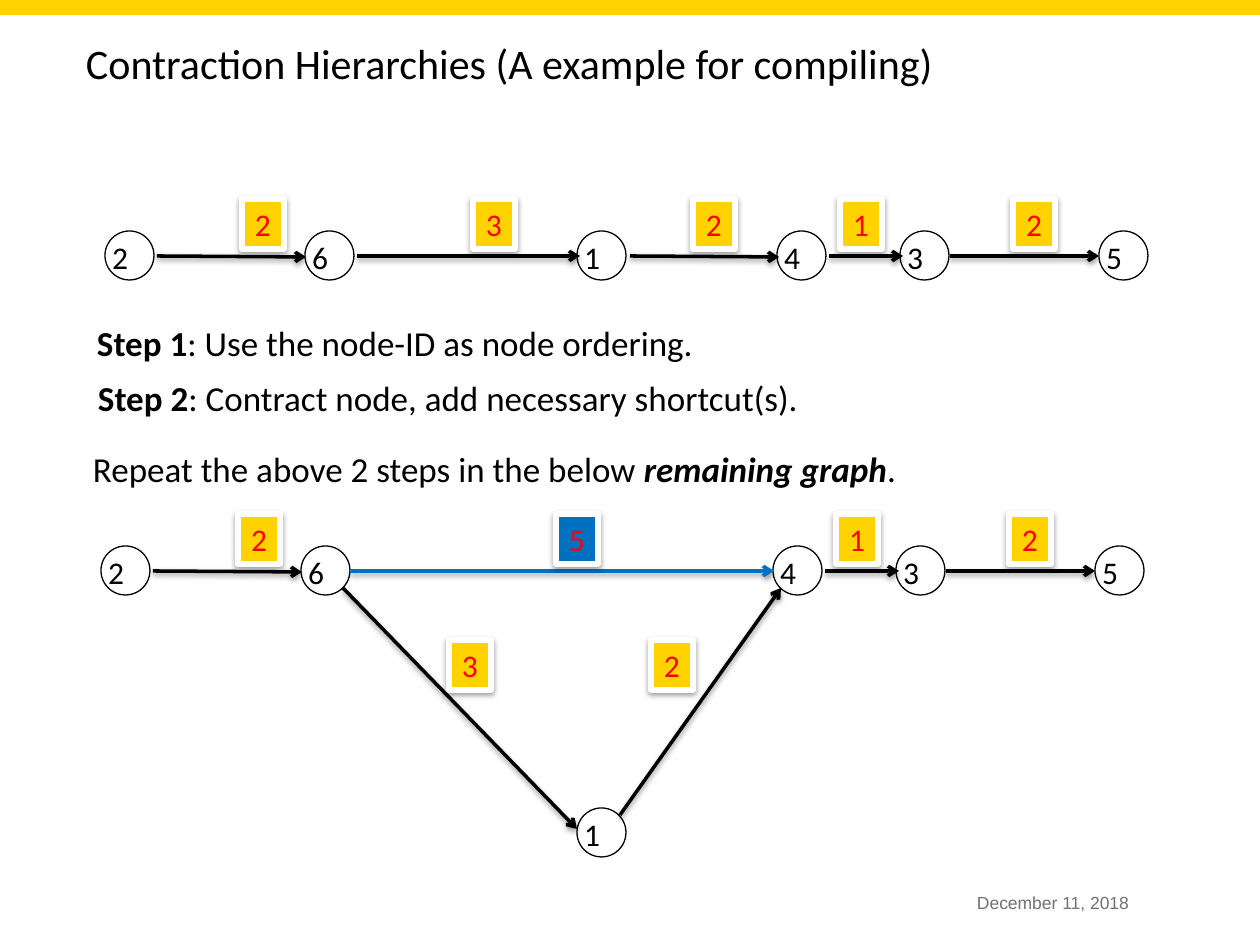
from typing import NamedTuple

from lxml.etree import SubElement
from pptx import Presentation
from pptx.dml.color import RGBColor
from pptx.enum.shapes import MSO_CONNECTOR as Connector, MSO_SHAPE as Preset
from pptx.enum.text import MSO_ANCHOR as Anchor, PP_ALIGN as Align
from pptx.oxml.ns import qn
from pptx.util import Emu, Pt

PX = 914400 / 126
BLACK, WHITE, YELLOW, BLUE = "000000", "FFFFFF", "FFD200", "0070C0"
RED, GREY = "FF0000", "717277"
NODE_SIZE = 49
LABEL_WIDTH, LABEL_HEIGHT = 42, 50


class Node(NamedTuple):
    name: str
    left: int
    top: int = 231


class Edge(NamedTuple):
    x1: int
    y1: int
    x2: int
    y2: int
    color: str = BLACK


class Label(NamedTuple):
    weight: str
    left: int
    top: int = 199
    fill: str = YELLOW


class Run(NamedTuple):
    text: str
    format: dict = {}


class TextLine(NamedTuple):
    left: int
    top: int
    width: int
    height: int
    runs: list[Run]
    size: int = 20
    color: str = BLACK
    font: str = "Calibri"
    margins: tuple[int, int] = (13, 6)


# Parts of the chain that both graphs share
CHAIN_NODES = [Node("2", 105), Node("6", 305), Node("4", 777),
               Node("3", 900), Node("5", 1099)]
CHAIN_EDGES = [Edge(157, 256, 306, 257), Edge(829, 256, 903, 256),
               Edge(950, 256, 1099, 256)]
CHAIN_LABELS = [Label("2", 242), Label("1", 840), Label("2", 1013)]
REMAINING_DX, REMAINING_DY = -4, 315

# Node 1 on the chain, and contracted with a shortcut
FULL_NODES = [Node("1", 577)]
FULL_EDGES = [Edge(357, 256, 580, 256), Edge(630, 256, 779, 257)]
FULL_LABELS = [Label("3", 473), Label("2", 693)]
CONTRACTED_NODES = [Node("1", 577, 808)]
CONTRACTED_EDGES = [Edge(343, 588, 577, 829), Edge(620, 815, 781, 588),
                    Edge(350, 571, 774, 571, BLUE)]
CONTRACTED_LABELS = [Label("3", 449, 640), Label("2", 651, 640),
                     Label("5", 556, 514, BLUE)]

BOLD = {"bold": True}
TEXT_LINES = [
    TextLine(73, 32, 955, 63,
             [Run("Contraction Hierarchies (A example for compiling)")], size=24),
    TextLine(84, 315, 626, 55,
             [Run("Step 1", BOLD), Run(": Use the node-ID as node ordering.")]),
    TextLine(85, 370, 736, 55,
             [Run("Step 2", BOLD), Run(": Contract node, add necessary shortcut(s).")]),
    TextLine(80, 441, 829, 55,
             [Run("Repeat the above 2 steps in the below "),
              Run("remaining graph", {"bold": True, "italic": True}), Run(".")]),
    TextLine(977, 892, 168, 35, [Run("December 11, 2018")],
             size=10, color=GREY, font="Arial", margins=(0, 0)),
]


def px(*values: int) -> list[Emu]:
    return [Emu(round(value * PX)) for value in values]


def rgb(color: str) -> RGBColor:
    return RGBColor.from_string(color)


def set_attributes(target, values: dict) -> None:
    for name, value in values.items():
        setattr(target, name, value)


def add_shadow(shape) -> None:
    properties = shape._element.spPr
    for old in properties.findall(qn("a:effectLst")):
        properties.remove(old)
    effects = SubElement(properties, qn("a:effectLst"))
    shadow = SubElement(effects, qn("a:outerShdw"), blurRad="40000",
                        dist="20000", dir="5400000", rotWithShape="0")
    color = SubElement(shadow, qn("a:srgbClr"), val=BLACK)
    SubElement(color, qn("a:alpha"), val="38000")


def set_text(shape, runs: list[Run], size: int, color: str, font: str = "Calibri",
             margins: tuple[int, int] = (0, 0), align=Align.LEFT, wrap=False) -> None:
    side, end = px(*margins)
    frame = shape.text_frame
    set_attributes(frame, {
        "margin_left": side, "margin_right": side, "margin_top": end,
        "margin_bottom": end, "word_wrap": wrap, "vertical_anchor": Anchor.TOP})
    paragraph = frame.paragraphs[0]
    paragraph.alignment = align
    for part in runs:
        run = paragraph.add_run()
        run.text = part.text
        set_attributes(run.font, {"name": font, "size": Pt(size), **part.format})
        run.font.color.rgb = rgb(color)


def add_shape(slide, preset, box: tuple, fill: str | None, line: str, width: float):
    shape = slide.shapes.add_shape(preset, *px(*box))
    shape.shadow.inherit = False
    if fill:
        shape.fill.solid()
        shape.fill.fore_color.rgb = rgb(fill)
    else:
        shape.fill.background()
    shape.line.color.rgb = rgb(line)
    shape.line.width = Pt(width)
    return shape


def draw_edge(slide, edge: Edge, dx: int, dy: int) -> None:
    ends = px(edge.x1 + dx, edge.y1 + dy, edge.x2 + dx, edge.y2 + dy)
    connector = slide.shapes.add_connector(Connector.STRAIGHT, *ends)
    connector.line.color.rgb = rgb(edge.color)
    connector.line.width = Pt(2)
    SubElement(connector.line._get_or_add_ln(), qn("a:tailEnd"), type="arrow")
    add_shadow(connector)


def draw_label(slide, label: Label, dx: int, dy: int) -> None:
    box = (label.left + dx, label.top + dy, LABEL_WIDTH, LABEL_HEIGHT)
    shape = add_shape(slide, Preset.RECTANGLE, box, label.fill, WHITE, 3)
    add_shadow(shape)
    set_text(shape, [Run(label.weight)], 18, RED, margins=(13, 6))


def draw_node(slide, node: Node, dx: int, dy: int) -> None:
    box = (node.left + dx, node.top + dy, NODE_SIZE, NODE_SIZE)
    shape = add_shape(slide, Preset.OVAL, box, None, BLACK, 0.75)
    set_text(shape, [Run(node.name)], 18, BLACK, wrap=True)


def draw_graph(slide, edges: list[Edge], labels: list[Label], nodes: list[Node],
               dx: int = 0, dy: int = 0) -> None:
    for draw, items in ((draw_edge, edges), (draw_label, labels), (draw_node, nodes)):
        for item in items:
            draw(slide, item, dx, dy)


def draw_text_line(slide, line: TextLine) -> None:
    box = slide.shapes.add_textbox(*px(line.left, line.top, line.width, line.height))
    set_text(box, line.runs, line.size, line.color, line.font, line.margins)


def main() -> None:
    presentation = Presentation()
    presentation.slide_width, presentation.slide_height = px(1260, 945)
    slide = presentation.slides.add_slide(presentation.slide_layouts[6])

    # Top bar
    add_shape(slide, Preset.RECTANGLE, (0, 0, 1260, 14), YELLOW, YELLOW, 0.75)

    # Full graph, then the remaining graph with its shortcut
    draw_graph(slide, CHAIN_EDGES, CHAIN_LABELS, CHAIN_NODES)
    draw_graph(slide, FULL_EDGES, FULL_LABELS, FULL_NODES)
    draw_graph(slide, CHAIN_EDGES, CHAIN_LABELS, CHAIN_NODES,
               REMAINING_DX, REMAINING_DY)
    draw_graph(slide, CONTRACTED_EDGES, CONTRACTED_LABELS, CONTRACTED_NODES)

    # Title, steps and date
    for line in TEXT_LINES:
        draw_text_line(slide, line)

    presentation.save("out.pptx")


if __name__ == "__main__":
    main()
